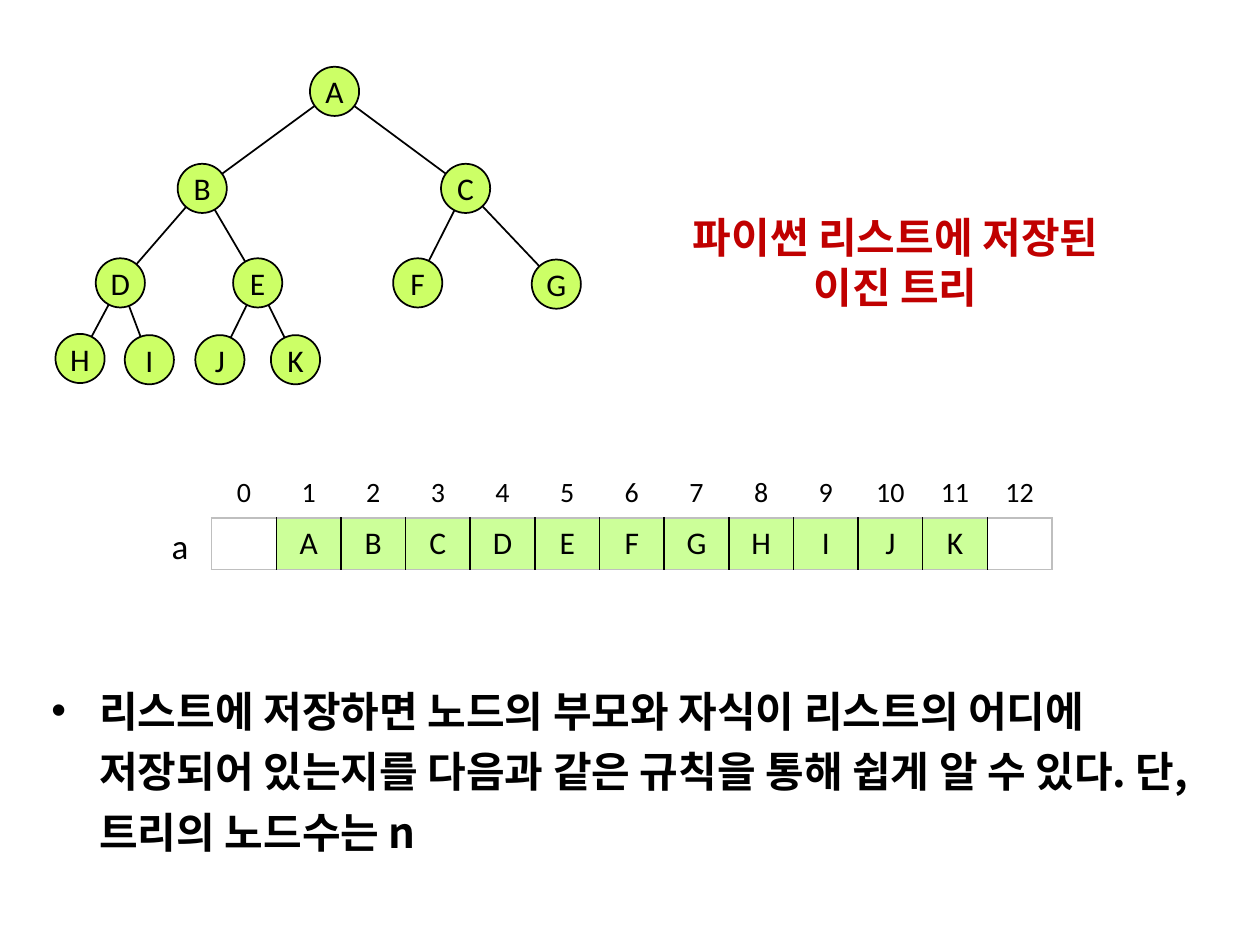
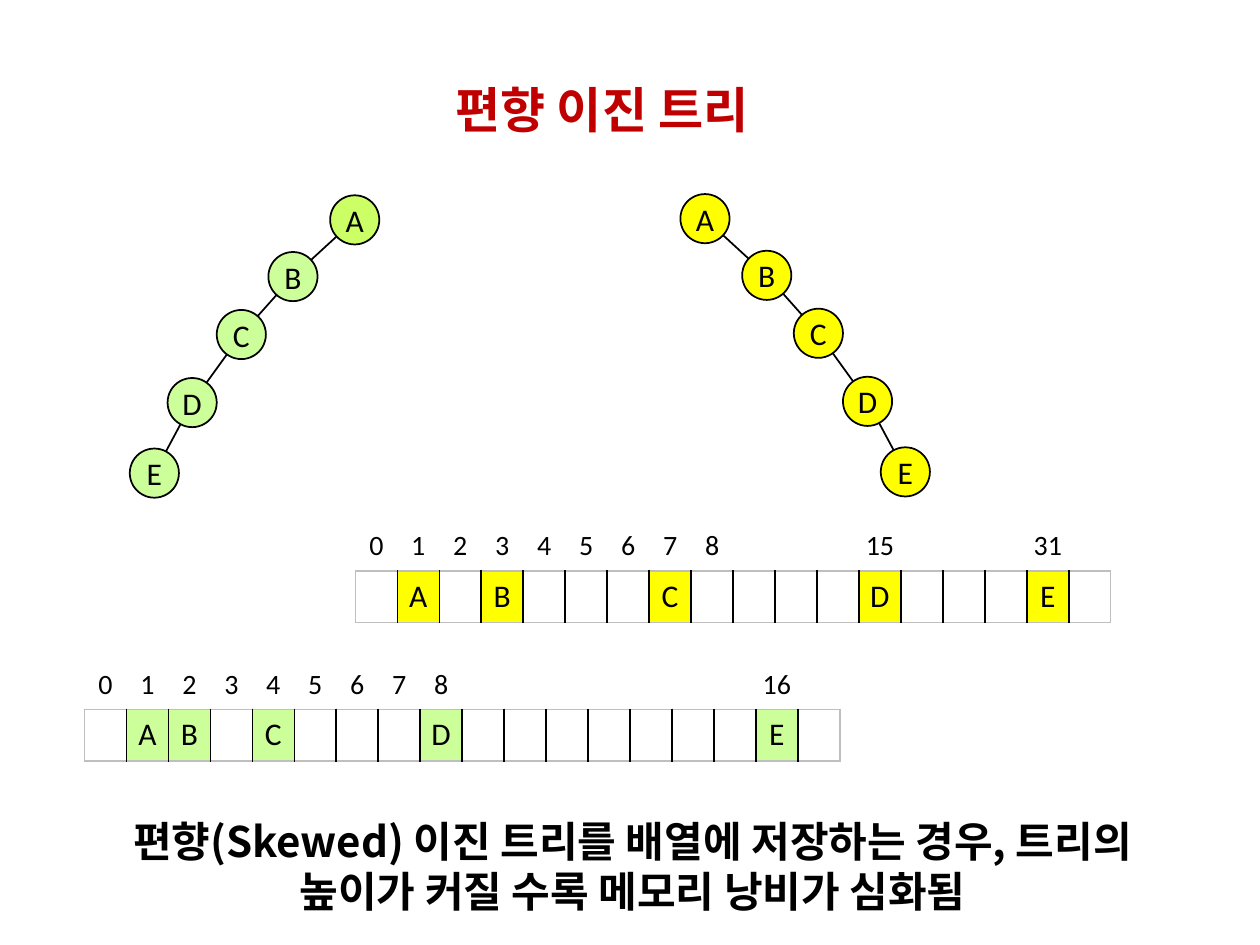
from lxml.etree import SubElement
from pptx import Presentation
from pptx.dml.color import RGBColor
from pptx.enum.shapes import MSO_CONNECTOR, MSO_SHAPE
from pptx.enum.text import MSO_ANCHOR, PP_ALIGN
from pptx.oxml.ns import qn
from pptx.util import Inches, Pt

BLACK = RGBColor(0x00, 0x00, 0x00)
RED = RGBColor(0xC0, 0x00, 0x00)
LIME = RGBColor(0xCC, 0xFF, 0x66)
PALE_GREEN = RGBColor(0xCC, 0xFF, 0x99)
YELLOW = RGBColor(0xFF, 0xFF, 0x00)
GREY = RGBColor(0xBF, 0xBF, 0xBF)

LATIN = "Calibri"
KOREAN = "Noto Sans CJK KR"
NODE_SIZE = 0.39
ROW_HEIGHT = 0.41
INDEX_GAP = 0.4

# Heap position -> (letter, left, top) within the tree; the parent of i is i // 2.
FULL_TREE = {
    1: ("A", 2.02, 0), 2: ("B", 0.97, 0.77), 3: ("C", 3.06, 0.77),
    4: ("D", 0.32, 1.52), 5: ("E", 1.41, 1.52), 6: ("F", 2.68, 1.52),
    7: ("G", 3.78, 1.53), 8: ("H", 0, 2.12), 9: ("I", 0.55, 2.13),
    10: ("J", 1.11, 2.13), 11: ("K", 1.71, 2.13),
}
SKEWED_STEPS = [("A", 0, 0), ("B", 0.49, 0.45), ("C", 0.9, 0.91),
                ("D", 1.29, 1.45), ("E", 1.59, 2.01)]
LEFT_SKEWED = {2 ** level: (letter, -x, y)
               for level, (letter, x, y) in enumerate(SKEWED_STEPS)}
RIGHT_SKEWED = {2 ** (level + 1) - 1: step
                for level, step in enumerate(SKEWED_STEPS)}


def style_text(paragraph, size, face=LATIN, color=BLACK, bold=False,
               align=PP_ALIGN.CENTER):
    paragraph.alignment = align
    font = paragraph.font
    font.name, font.size, font.bold = face, Pt(size), bold
    font.color.rgb = color
    east_asian = SubElement(paragraph._p.pPr.find(qn("a:defRPr")), qn("a:ea"))
    east_asian.set("typeface", face)


def add_text(slide, box, lines, size, aligns, wrap=True, **style):
    frame = slide.shapes.add_textbox(*map(Inches, box)).text_frame
    frame.word_wrap = wrap
    frame.text = "\n".join(lines)
    for paragraph, align in zip(frame.paragraphs, aligns):
        style_text(paragraph, size, align=align, **style)
    return frame


def add_heading(slide, box, lines, size, aligns):
    add_text(slide, box, lines, size, aligns, wrap=False,
             face=KOREAN, color=RED, bold=True)


def add_bullet(paragraph, indent):
    properties = paragraph._p.get_or_add_pPr()
    properties.set("marL", str(Inches(indent)))
    properties.set("indent", str(-Inches(indent)))
    SubElement(properties, qn("a:buFont")).set("typeface", "Arial")
    SubElement(properties, qn("a:buChar")).set("char", "•")


def add_tree(slide, left, top, nodes, fill, root_fill):
    tree = slide.shapes.add_group_shape().shapes

    def center(position):
        _, x, y = nodes[position]
        return (Inches(left + x + NODE_SIZE / 2),
                Inches(top + y + NODE_SIZE / 2))

    for position in nodes:
        if position == 1:
            continue
        edge = tree.add_connector(MSO_CONNECTOR.STRAIGHT,
                                  *center(position // 2), *center(position))
        edge.line.color.rgb = BLACK
        edge.line.width = Pt(1)
        SubElement(edge._element.spPr, qn("a:effectLst"))

    for position, (letter, x, y) in nodes.items():
        node = tree.add_shape(MSO_SHAPE.OVAL, Inches(left + x), Inches(top + y),
                              Inches(NODE_SIZE), Inches(NODE_SIZE))
        node.shadow.inherit = False
        node.fill.solid()
        node.fill.fore_color.rgb = root_fill if position == 1 else fill
        node.line.color.rgb = BLACK
        node.line.width = Pt(1)
        frame = node.text_frame
        frame.margin_left = frame.margin_right = 0
        frame.margin_top = frame.margin_bottom = 0
        frame.vertical_anchor = MSO_ANCHOR.MIDDLE
        frame.word_wrap = False
        frame.text = letter
        style_text(frame.paragraphs[0], 18)


def set_borders(cell, colors):
    """Draw left, right, top and bottom borders; None hides a side."""
    properties = cell._tc.get_or_add_tcPr()
    for side, color in zip("LRTB", colors):
        border = SubElement(properties, qn(f"a:ln{side}"), w=str(Pt(1)))
        if color is None:
            SubElement(border, qn("a:noFill"))
        else:
            solid = SubElement(border, qn("a:solidFill"))
            SubElement(solid, qn("a:srgbClr")).set("val", str(color))


def add_row(slide, left, top, width, texts, size, fill=None, ruled=False):
    table = slide.shapes.add_table(1, len(texts), Inches(left), Inches(top),
                                   Inches(width), Inches(ROW_HEIGHT)).table
    table.first_row = table.horz_banding = False
    last = len(texts) - 1
    for column, text in enumerate(texts):
        cell = table.cell(0, column)
        cell.margin_left = cell.margin_right = Inches(0.02)
        cell.vertical_anchor = MSO_ANCHOR.MIDDLE
        set_borders(cell, (GREY if column == 0 else BLACK,
                           GREY if column == last else BLACK,
                           GREY, GREY) if ruled else [None] * 4)
        if text and fill is not None:
            cell.fill.solid()
            cell.fill.fore_color.rgb = fill
        else:
            cell.fill.background()
        cell.text = text
        style_text(cell.text_frame.paragraphs[0], size)


def add_array(slide, left, top, width, nodes, indices, fill):
    """Place a row of list slots with their index numbers above."""
    letters = [nodes[index][0] if index in nodes else "" for index in indices]
    numbers = ["" if index is None else str(index) for index in indices]
    add_row(slide, left, top, width, letters, 18, fill, ruled=True)
    add_row(slide, left, top - INDEX_GAP, width, numbers, 16)


def build_list_slide(slide):
    add_tree(slide, 0.44, 0.53, FULL_TREE, LIME, LIME)
    add_heading(slide, (5.4, 1.63, 3.71, 0.91),
                ["파이썬 리스트에 저장된", "이진 트리"], 24,
                [PP_ALIGN.LEFT, PP_ALIGN.CENTER])
    add_text(slide, (1.15, 4.11, 0.56, 0.44), ["a"], 20, [PP_ALIGN.CENTER])
    add_array(slide, 1.68, 4.11, 6.67, FULL_TREE, range(13), PALE_GREEN)

    rule = slide.shapes.add_textbox(*map(Inches, (0.31, 5.31, 9.39, 1.52)))
    rule.text_frame.word_wrap = True
    paragraph = rule.text_frame.paragraphs[0]
    paragraph.text = (
        "리스트에 저장하면 노드의 부모와 자식이 리스트의 어디에 저장되어 있는지를 "
        "다음과 같은 규칙을 통해 쉽게 알 수 있다. 단, 트리의 노드수는 n")
    add_bullet(paragraph, 0.38)
    paragraph.line_spacing = 1.2
    style_text(paragraph, 24, KOREAN, bold=True, align=PP_ALIGN.LEFT)


def build_skewed_slide(slide):
    add_heading(slide, (3.52, 0.58, 2.74, 0.57), ["편향 이진 트리"], 28,
                [PP_ALIGN.LEFT])
    add_tree(slide, 2.62, 1.55, LEFT_SKEWED, PALE_GREEN, LIME)
    add_tree(slide, 5.4, 1.54, RIGHT_SKEWED, YELLOW, YELLOW)

    first_indices = list(range(9))
    add_array(slide, 2.82, 4.53, 6, RIGHT_SKEWED,
              first_indices + [None] * 3 + [15] + [None] * 3 + [31, None],
              YELLOW)
    add_array(slide, 0.67, 5.63, 6, LEFT_SKEWED,
              first_indices + [None] * 7 + [16, None], PALE_GREEN)
    add_text(slide, (0.51, 6.42, 9.02, 0.91),
             ["편향(Skewed) 이진 트리를 배열에 저장하는 경우, 트리의 높이가 "
              "커질 수록 메모리 낭비가 심화됨"],
             24, [PP_ALIGN.CENTER], face=KOREAN, bold=True)


def main():
    deck = Presentation()
    deck.slide_width, deck.slide_height = Inches(10), Inches(7.5)
    blank = deck.slide_layouts[6]
    for build in (build_list_slide, build_skewed_slide):
        build(deck.slides.add_slide(blank))
    deck.save("out.pptx")


if __name__ == "__main__":
    main()
